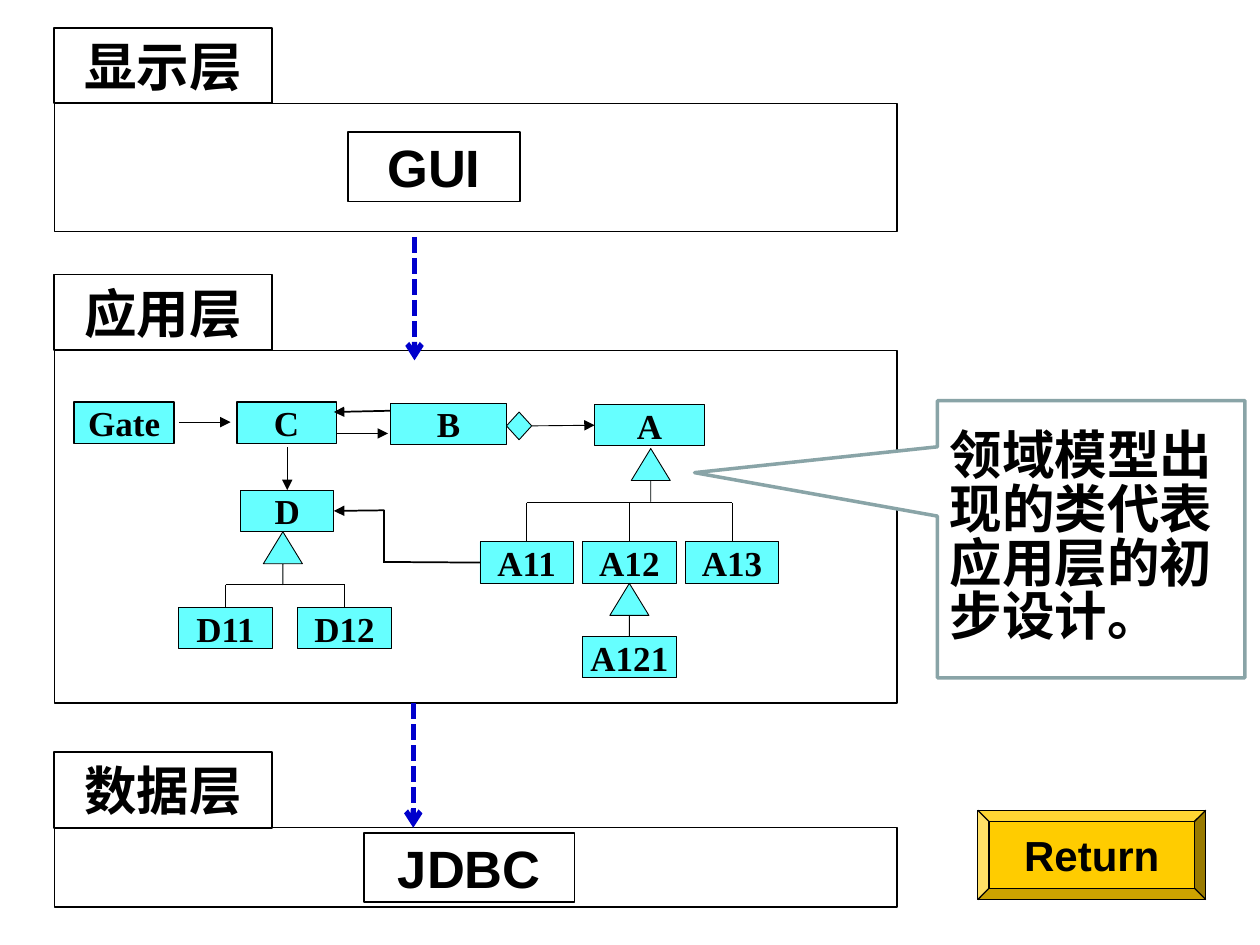
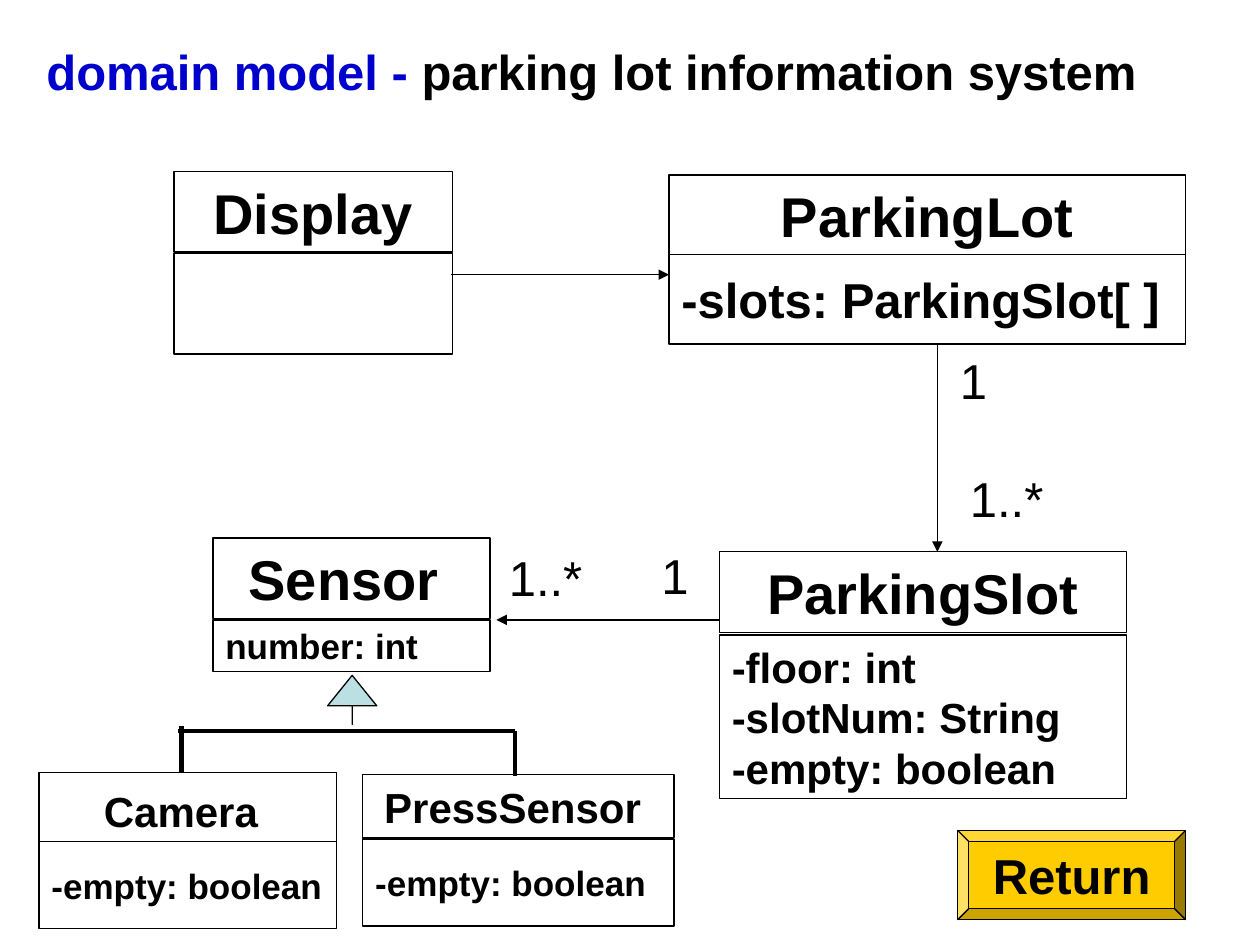
"""Build two slides: a three-layer architecture and a parking lot domain model."""
from dataclasses import dataclass

from lxml import etree
from pptx import Presentation, util as u
from pptx.dml.color import RGBColor
from pptx.enum import dml, shapes, text
from pptx.oxml.ns import qn


@dataclass(frozen=True)
class Theme:
    ink: str = "000000"
    paper: str = "FFFFFF"
    accent: str = "0000CC"
    domain: str = "66FFFF"
    inherit: str = "BBE0E3"
    button: str = "FFCC00"
    note: str = "89A4A7"
    sans: str = "Arial"
    serif: str = "Times New Roman"
    cjk: str = "Noto Sans CJK SC"
    name: int = 32
    layer: int = 30
    heading: int = 28
    label: int = 24
    small: int = 20
    hairline: float = 0.5
    thin: float = 0.75
    medium: float = 1
    note_line: float = 2
    thick: float = 2.5
    flow: float = 3


theme = Theme()
kinds = shapes.MSO_SHAPE
middle = text.PP_ALIGN.CENTER

deck = Presentation()
deck.slide_width, deck.slide_height = u.Inches(10), u.Inches(7.5)
CELL = deck.slide_width / 100


def box(slide, cells, words="", size=theme.small, font=theme.sans, kind=kinds.RECTANGLE,
        fill=theme.paper, edge=theme.ink, weight=theme.thin, align=middle, bold=True,
        color=theme.ink, inset=True, wrap=True, adjust=()):
    """Place a shape, or a text box when kind is None, on the grid."""
    place = [round(value * CELL) for value in cells]
    if kind is None:
        part = slide.shapes.add_textbox(*place)
    else:
        part = slide.shapes.add_shape(kind, *place)
        part.shadow.inherit = False
        part.fill.solid()
        part.fill.fore_color.rgb = RGBColor.from_string(fill)
        part.line.color.rgb = RGBColor.from_string(edge)
        part.line.width = u.Pt(weight)
        for index, value in enumerate(adjust):
            part.adjustments[index] = value
    if words:
        frame = part.text_frame
        frame.text = words
        frame.word_wrap = wrap
        frame.vertical_anchor = text.MSO_ANCHOR.TOP if kind is None else text.MSO_ANCHOR.MIDDLE
        if not inset:
            frame.margin_left = frame.margin_right = frame.margin_top = frame.margin_bottom = 0
        for paragraph in frame.paragraphs:
            paragraph.alignment = align
            paragraph.font.size, paragraph.font.bold = u.Pt(size), bold
            paragraph.font.color.rgb = RGBColor.from_string(color)
            paragraph.font.name = font
            defaults = paragraph._p.pPr.find(qn("a:defRPr"))
            etree.SubElement(defaults, qn("a:ea")).set("typeface", font)
    return part


def line(slide, start, end, weight=theme.hairline, color=theme.ink, arrow=None, dash=None):
    """Draw a straight connector between two grid points."""
    points = [round(value * CELL) for value in (*start, *end)]
    link = slide.shapes.add_connector(shapes.MSO_CONNECTOR.STRAIGHT, *points)
    link.line.color.rgb = RGBColor.from_string(color)
    link.line.width = u.Pt(weight)
    if dash:
        link.line.dash_style = dash
    outline = link._element.spPr
    if arrow:
        etree.SubElement(outline.find(qn("a:ln")), qn("a:tailEnd")).set("type", arrow)
    etree.SubElement(outline, qn("a:effectLst"))
    return link


blank = deck.slide_layouts[6]
layers = deck.slides.add_slide(blank)

LAYER_LEFT, LAYER_WIDTH, TAB_WIDTH, TAB_HEIGHT = 4.3, 66.9, 17.3, 6
for title, top, height in (("显示层", 8.2, 10.2), ("应用层", 27.8, 28), ("数据层", 65.7, 6.3)):
    box(layers, (LAYER_LEFT, top, LAYER_WIDTH, height))
    box(layers, (LAYER_LEFT, top - TAB_HEIGHT, TAB_WIDTH, TAB_HEIGHT), title, theme.layer,
        theme.cjk, weight=theme.medium)

for x, top, bottom in ((32.9, 18.8, 28.6), (32.8, 55.8, 65.7)):
    line(layers, (x, top), (x, bottom), theme.flow, theme.accent, "arrow",
         dml.MSO_LINE.SQUARE_DOT)

for technology, cells in (("GUI", (27.6, 10.5, 13.7, 5.5)), ("JDBC", (28.9, 66.1, 16.7, 5.5))):
    box(layers, cells, technology, theme.layer, weight=theme.medium)

CLASS_HEIGHT = 3.3
classes = {}
for name, left, top, width, weight in (
    ("Gate", 5.9, 31.9, 7.9, theme.medium), ("C", 18.8, 31.9, 7.9, theme.medium),
    ("B", 31, 32, 9.2, theme.hairline), ("A", 47.2, 32.1, 8.7, theme.hairline),
    ("D", 19.1, 38.9, 7.4, theme.hairline),
    ("A11", 38.1, 43, 7.4, theme.hairline), ("A12", 46.2, 43, 7.5, theme.hairline),
    ("A13", 54.4, 43, 7.4, theme.hairline), ("A121", 46.2, 50.5, 7.5, theme.hairline),
    ("D11", 14.2, 48.2, 7.4, theme.hairline), ("D12", 23.6, 48.2, 7.5, theme.hairline),
):
    classes[name] = box(layers, (left, top, width, CLASS_HEIGHT), name, theme.small,
                        theme.serif, fill=theme.domain, weight=weight, inset=False)

for left, top in ((50.1, 35.6), (20.9, 42.2), (48.4, 46.3)):
    box(layers, (left, top, 3.1, 4.2), kind=kinds.UP_ARROW, fill=theme.domain,
        weight=theme.hairline, adjust=(0, 0.82))

for bus, children in ((39.9, ("A11", "A12", "A13")), (46.4, ("D11", "D12"))):
    centres = [(classes[child].left + classes[child].width / 2) / CELL for child in children]
    line(layers, (centres[0], bus), (centres[-1], bus))
    for child, centre in zip(children, centres):
        line(layers, (centre, bus), (centre, bus + 3)).end_connect(classes[child], 0)

aggregate = box(layers, (40.2, 32.7, 2, 2.2), kind=kinds.DIAMOND, fill=theme.domain,
                weight=theme.hairline)
contains = line(layers, (42.2, 33.8), (47.2, 33.8), arrow="triangle")
contains.begin_connect(aggregate, 3)
contains.end_connect(classes["A"], 1)
line(layers, (14.2, 33.5), (18.3, 33.5), arrow="triangle")
line(layers, (26.7, 34.4), (30.8, 34.4), arrow="triangle")
line(layers, (31, 32.6), (26.5, 32.7), theme.medium, arrow="triangle")
line(layers, (22.8, 35.5), (22.8, 38.9), arrow="triangle").end_connect(classes["D"], 0)

line(layers, (38.1, 44.6), (30.5, 44.6), theme.medium).begin_connect(classes["A11"], 1)
line(layers, (30.5, 40.5), (30.5, 44.7), theme.medium)
line(layers, (30.5, 40.5), (26.5, 40.5), theme.medium,
     arrow="triangle").end_connect(classes["D"], 3)

remark = box(layers, (74.4, 31.8, 24.4, 22), "领域模型出现的类代表应用层的初步设计。",
             theme.layer, theme.cjk, kinds.RECTANGULAR_CALLOUT, edge=theme.note,
             weight=theme.note_line, align=text.PP_ALIGN.LEFT, adjust=(-1.29, -0.24))
remark.text_frame.paragraphs[0].line_spacing = 0.85

model = deck.slides.add_slide(blank)

heading = box(model, (2.7, 2.1, 92.1, 7.1), "domain model - ", theme.heading, kind=None,
              align=text.PP_ALIGN.LEFT, color=theme.accent)
heading.text_frame.vertical_anchor = text.MSO_ANCHOR.MIDDLE
subject = heading.text_frame.paragraphs[0].add_run()
subject.text = "parking lot information system"
subject.font.color.rgb = RGBColor.from_string(theme.ink)

headers = {}
for name, name_size, left, width, top, height, fields, field_size, field_top, field_height in (
    ("ParkingLot", theme.name, 53.1, 41, 13.9, 6.4,
     "-slots: ParkingSlot[ ]", theme.heading, 20.2, 7.1),
    ("ParkingSlot", theme.name, 57.1, 32.3, 43.8, 6.4,
     "-floor: int\n-slotNum: String\n-empty: boolean", theme.label, 50.4, 13),
    ("Display", theme.name, 13.8, 22.1, 13.6, 6.4, "", theme.small, 20.1, 8),
    ("Sensor ", theme.name, 16.9, 22, 42.7, 6.4, "number: int", theme.small, 49.2, 4.1),
    ("PressSensor ", theme.label, 28.8, 24.7, 61.5, 5,
     "-empty: boolean", theme.small, 66.6, 6.9),
    ("Camera", theme.label, 3.1, 23.6, 61.3, 5.7, "-empty: boolean", theme.small, 66.8, 6.9),
):
    headers[name] = box(model, (left, top, width, height), name, name_size)
    box(model, (left, field_top, width, field_height), fields, field_size,
        align=text.PP_ALIGN.LEFT, wrap=False)

camera_gap = headers["Camera"].text_frame.paragraphs[0].add_run()
camera_gap.text = " "
camera_gap.font.size, camera_gap.font.bold = u.Pt(theme.heading), False

for start, end in (((74.4, 27.3), (74.4, 43.8)), ((35.8, 21.8), (53.1, 21.8)),
                   ((57.1, 49.2), (39.4, 49.2))):
    line(model, start, end, theme.thin, arrow="triangle")

for count, left, top, width in (("1", 51.5, 42.8, 4.7), ("1..*", 39.4, 43, 8.7),
                                ("1", 75.2, 27.3, 4.7), ("1..*", 76, 36.7, 8.7)):
    box(model, (left, top, width, 5.7), count, theme.heading, kind=None,
        align=text.PP_ALIGN.LEFT, bold=False)

box(model, (26, 53.6, 3.9, 3.9), kind=kinds.UP_ARROW, fill=theme.inherit, adjust=(0, 0.62))
for start, end in (((14.1, 58), (40.9, 58)), ((14.4, 57.6), (14.4, 61.3)),
                   ((40.9, 58), (40.9, 61.6))):
    line(model, start, end, theme.thick)

for slide, left, top, size in ((layers, 77.6, 64.3, theme.label),
                               (model, 76, 65.9, theme.heading)):
    box(slide, (left, top, 18.1, 7.1), "Return", size, kind=kinds.BEVEL, fill=theme.button,
        wrap=False)

deck.save("out.pptx")
